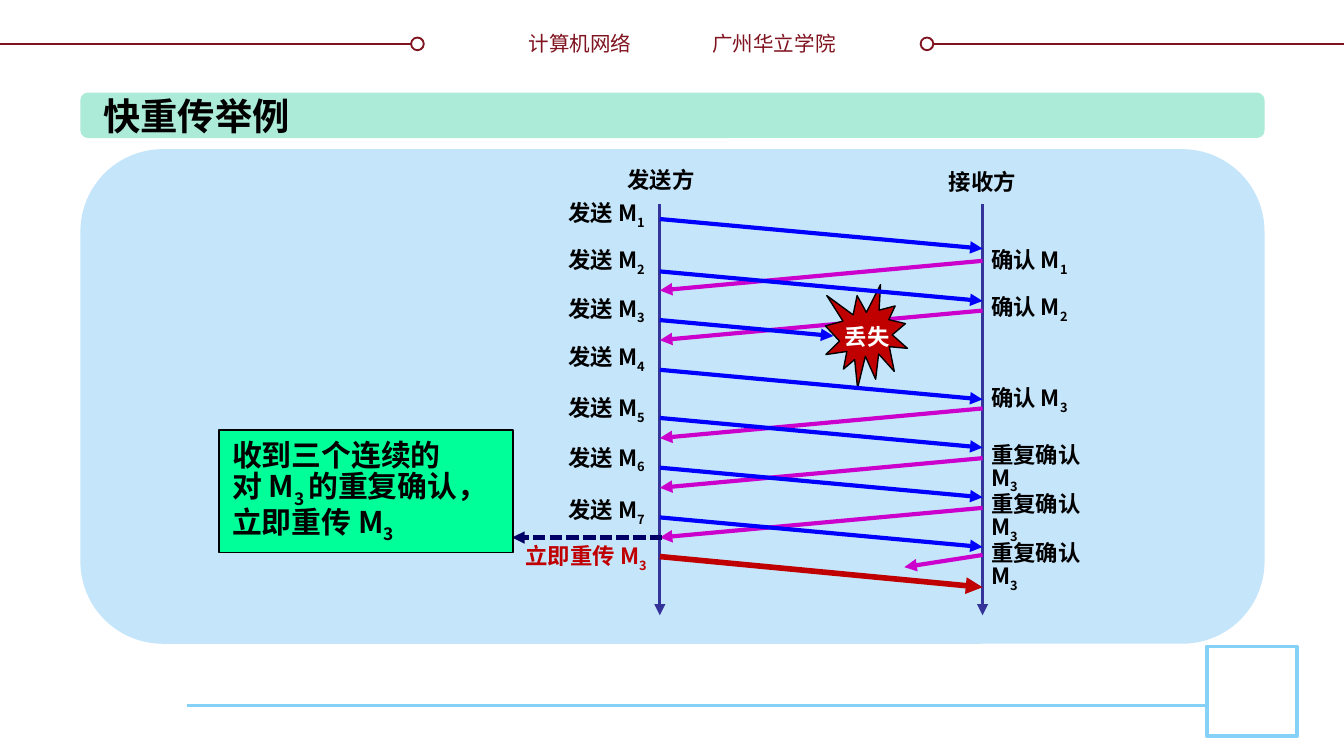
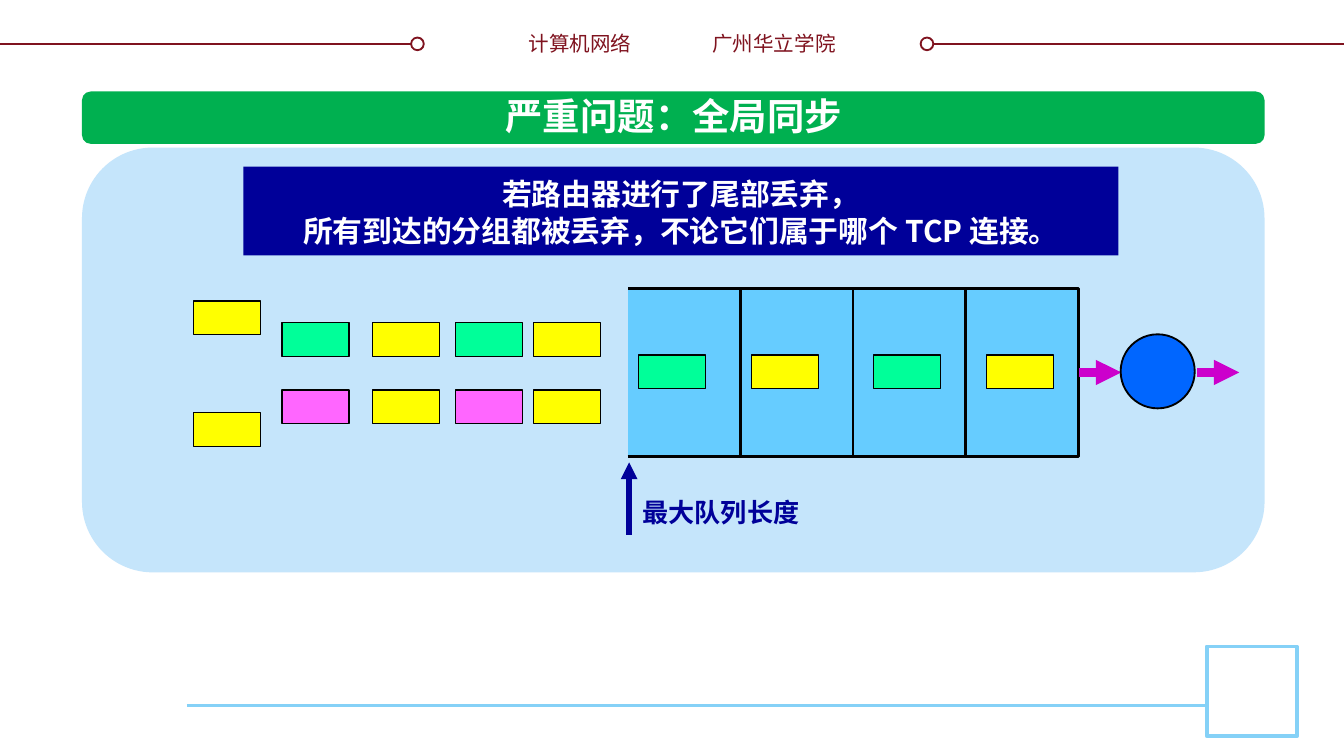
from dataclasses import dataclass

from pptx import Presentation
from pptx.dml.color import RGBColor
from pptx.enum.dml import MSO_LINE_DASH_STYLE as Dash
from pptx.enum.shapes import MSO_CONNECTOR, MSO_SHAPE as Preset
from pptx.enum.text import MSO_ANCHOR as Anchor, MSO_AUTO_SIZE as Fit, PP_ALIGN as Align
from pptx.oxml.ns import qn
from pptx.util import Cm, Pt
from lxml.etree import SubElement


@dataclass(frozen=True)
class Theme:
    font: str = "Noto Sans CJK SC"
    leading: float = 1.2
    title: int = 20
    callout: int = 16
    caption: int = 14
    label: int = 12
    header: int = 11
    black: str = "000000"
    white: str = "FFFFFF"
    maroon: str = "7F131F"
    sky: str = "85D1F7"
    panel: str = "C5E5FB"
    mint: str = "ABEBD7"
    green: str = "00B050"
    axis: str = "333399"
    data: str = "0000FF"
    ack: str = "CC00CC"
    loss: str = "C00000"
    dash: str = "000066"
    navy: str = "000099"
    queue: str = "66CCFF"
    router: str = "0066FF"
    yellow: str = "FFFF00"
    spring: str = "00FF99"
    pink: str = "FF66FF"


T = Theme()
SENDER_X, RECEIVER_X, DROP = 12.47, 18.57, 0.56


def rgb(color):
    return RGBColor.from_string(color)


def paint(shape, fill, line=None, width=0.75):
    shape.shadow.inherit = False
    shape.fill.solid()
    shape.fill.fore_color.rgb = rgb(fill)
    if line:
        shape.line.color.rgb = rgb(line)
        shape.line.width = Pt(width)
    else:
        shape.line.fill.background()


def write(frame, lines, size, color, bold=True, align=Align.LEFT, wrap=False,
          leading=T.leading, anchor=Anchor.TOP):
    """Parts between bars are subscripts."""
    frame.word_wrap = wrap
    frame.auto_size = Fit.SHAPE_TO_FIT_TEXT
    frame.vertical_anchor = anchor
    frame.margin_left = frame.margin_right = Cm(0.25)
    frame.margin_top = frame.margin_bottom = Cm(0.13)
    for index, line in enumerate(lines):
        paragraph = frame.add_paragraph() if index else frame.paragraphs[0]
        paragraph.alignment = align
        paragraph.line_spacing = Pt(size * leading)
        for part, text in enumerate(line.split("|")):
            if text:
                run = paragraph.add_run()
                run.text = text
                if part % 2:
                    run._r.get_or_add_rPr().set("baseline", "-25000")
        font = paragraph.font
        font.size, font.bold, font.name = Pt(size), bold, T.font
        font.color.rgb = rgb(color)
        SubElement(font._element, qn("a:ea")).set("typeface", T.font)


def add_block(slide, preset, box, fill, line=None, width=0.75):
    block = slide.shapes.add_shape(preset, *map(Cm, box))
    paint(block, fill, line, width)
    return block


def add_label(slide, text, box, size=T.label, color=T.black, **style):
    label = slide.shapes.add_textbox(*map(Cm, box))
    write(label.text_frame, [text], size, color, **style)
    return label


def add_line(slide, start, end, color, width, arrow=False, dash=None):
    line = slide.shapes.add_connector(MSO_CONNECTOR.STRAIGHT, *map(Cm, start + end))
    line.line.color.rgb = rgb(color)
    line.line.width = Pt(width)
    if dash:
        line.line.dash_style = dash
    if arrow:
        SubElement(line.line._get_or_add_ln(), qn("a:tailEnd")).set("type", "triangle")
    SubElement(line._element.spPr, qn("a:effectLst"))
    return line


def add_frame_to_master(deck, slide):
    parts = [add_line(slide, (0, 0.83), (8, 0.83), T.maroon, 1),
             add_label(slide, "广州华立学院", (13.21, 0.46, 2.95, 0.74), T.header,
                       T.maroon, bold=False, wrap=True),
             add_label(slide, "计算机网络", (9.73, 0.46, 2.46, 0.74), T.header,
                       T.maroon, bold=False, align=Align.RIGHT),
             add_line(slide, (17.4, 0.83), (25.4, 0.83), T.maroon, 1)]
    for ring_x in (7.77, 17.4):
        parts.append(add_block(slide, Preset.OVAL, (ring_x, 0.71, 0.24, 0.24),
                               T.white, T.maroon, 1))
    parts += [add_line(slide, (3.53, 13.34), (22.81, 13.34), T.sky, 1.5),
              add_block(slide, Preset.RECTANGLE, (22.81, 12.22, 1.7, 1.7), T.white, T.sky, 2),
              add_block(slide, Preset.RECTANGLE, (12.04, 0.36, 1.32, 1.3), T.white)]
    for part in parts:
        deck.slide_master.shapes._spTree.append(part._element)


def add_heading(slide, text, bar, panel, fill, title_box, color, align):
    add_block(slide, Preset.ROUNDED_RECTANGLE, bar, fill)
    title = slide.shapes.title
    title.left, title.top, title.width, title.height = map(Cm, title_box)
    write(title.text_frame, [text], T.title, color, align=align)
    slide.shapes._spTree.append(title._element)
    add_block(slide, Preset.ROUNDED_RECTANGLE, panel, T.panel)


def add_ack(slide, text, label_y, y, end_x=SENDER_X, drop=DROP):
    add_line(slide, (RECEIVER_X, y), (end_x, y + drop), T.ack, 2.25, arrow=True)
    add_label(slide, text, (18.48, label_y, 2.3, 0.76))


def add_send(slide, number, label_y, y, end_x=RECEIVER_X):
    drop = DROP * (end_x - SENDER_X) / (RECEIVER_X - SENDER_X)
    add_label(slide, f"发送 M|{number}", (10.49, label_y, 2.11, 0.76))
    add_line(slide, (SENDER_X, y), (end_x, y + drop), T.data, 2.25, arrow=True)


def add_packet(slide, x, y, fill):
    add_block(slide, Preset.RECTANGLE, (x, y, 1.27, 0.64), fill, T.black)


def build_fast_retransmit(slide):
    add_heading(slide, "快重传举例", (1.52, 1.75, 22.38, 0.86), (1.52, 2.82, 22.38, 9.35),
                T.mint, (1.7, 1.63, 4.06, 1.12), T.black, Align.LEFT)
    add_label(slide, "发送方", (11.61, 3.02, 1.8, 0.76))
    add_label(slide, "接收方", (17.68, 3.05, 1.8, 0.76))
    for axis_x in (SENDER_X, RECEIVER_X):
        add_line(slide, (axis_x, 3.86), (axis_x, 11.63), T.axis, 1.5, arrow=True)

    for ack in (("确认 M|1", 4.6, 4.93), ("确认 M|2", 5.49, 5.87),
                ("确认 M|3", 7.21, 7.72), ("重复确认 M|3", 8.2, 8.66),
                ("重复确认 M|3", 9.14, 9.6), ("重复确认 M|3", 10.06, 10.49, 17.09, 0.23)):
        add_ack(slide, *ack)

    add_block(slide, Preset.EXPLOSION1, (15.6, 5.38, 1.55, 1.96), T.loss, T.black)
    add_label(slide, "丢失", (15.72, 5.97, 1.37, 0.76), color=T.white)
    sends = ((3.71, 4.14), (4.6, 5.13), (5.51, 6.05, 15.75), (6.43, 6.99),
             (7.39, 7.9), (8.33, 8.84), (9.32, 9.78))
    for number, send in enumerate(sends, 1):
        add_send(slide, number, *send)

    add_line(slide, (12.52, 10.16), (9.68, 10.16), T.dash, 2.25, arrow=True,
             dash=Dash.SQUARE_DOT)
    callout = add_block(slide, Preset.RECTANGLE, (4.14, 8.13, 5.56, 2.31), T.spring, T.black)
    write(callout.text_frame, ["收到三个连续的", "对 M|3 |的重复确认，立即重传 M|3"],
          T.callout, T.black, wrap=True)
    add_line(slide, (SENDER_X, 10.52), (RECEIVER_X, 11.1), T.loss, 3, arrow=True)
    add_label(slide, "立即重传 M|3", (9.68, 10.19, 2.97, 0.76), color=T.loss)


def add_queue(slide, left, top, step, height, cells):
    right, bottom = left + step * cells, top + height
    builder = slide.shapes.build_freeform(Cm(left), Cm(bottom))
    corners = [(right, bottom), (right, top), (left, top)]
    builder.add_line_segments([(Cm(x), Cm(y)) for x, y in corners], close=False)
    paint(builder.convert_to_shape(), T.queue, T.black, 1.5)
    for cell in range(1, cells):
        x = left + step * cell
        add_line(slide, (x, top), (x, bottom), T.black, 1.5)


def build_global_sync(slide):
    add_heading(slide, "严重问题：全局同步", (1.55, 1.73, 22.35, 0.99), (1.55, 2.79, 22.35, 8.03),
                T.green, (9.27, 1.63, 6.93, 1.12), T.white, Align.CENTER)
    notice = add_block(slide, Preset.RECTANGLE, (4.6, 3.15, 16.54, 1.68), T.navy)
    write(notice.text_frame,
          ["若路由器进行了尾部丢弃，", "所有到达的分组都被丢弃，不论它们属于哪个 TCP 连接。"],
          T.callout, T.white, align=Align.CENTER, wrap=True, leading=1.25,
          anchor=Anchor.MIDDLE)

    for y, accent in ((6.1, T.spring), (7.37, T.pink)):
        for x, fill in ((5.33, accent), (7.04, T.yellow), (8.61, accent), (10.08, T.yellow)):
            add_packet(slide, x, y, fill)
    for y in (5.69, 7.8):
        add_packet(slide, 3.66, y, T.yellow)

    add_queue(slide, 11.86, 5.46, 2.13, 3.17, 4)
    for x, fill in ((12.07, T.spring), (14.2, T.yellow), (16.51, T.spring), (18.64, T.yellow)):
        add_packet(slide, x, 6.71, fill)
    for link_x in (20.4, 22.63):
        add_line(slide, (link_x, 7.04), (link_x + 0.79, 7.04), T.ack, 4.5, arrow=True)
    add_block(slide, Preset.OVAL, (21.18, 6.32, 1.4, 1.4), T.router, T.black, 1)

    add_line(slide, (11.89, 10.11), (11.89, 8.74), T.navy, 3, arrow=True)
    add_label(slide, "最大队列长度", (11.89, 9.25, 3.5, 0.86), T.caption, T.navy)


def main():
    deck = Presentation()
    deck.slide_width, deck.slide_height = Cm(25.4), Cm(14.29)
    title_only = deck.slide_layouts[5]
    retransmit, sync = (deck.slides.add_slide(title_only) for _ in range(2))
    add_frame_to_master(deck, retransmit)
    build_fast_retransmit(retransmit)
    build_global_sync(sync)
    deck.save("out.pptx")


if __name__ == "__main__":
    main()
